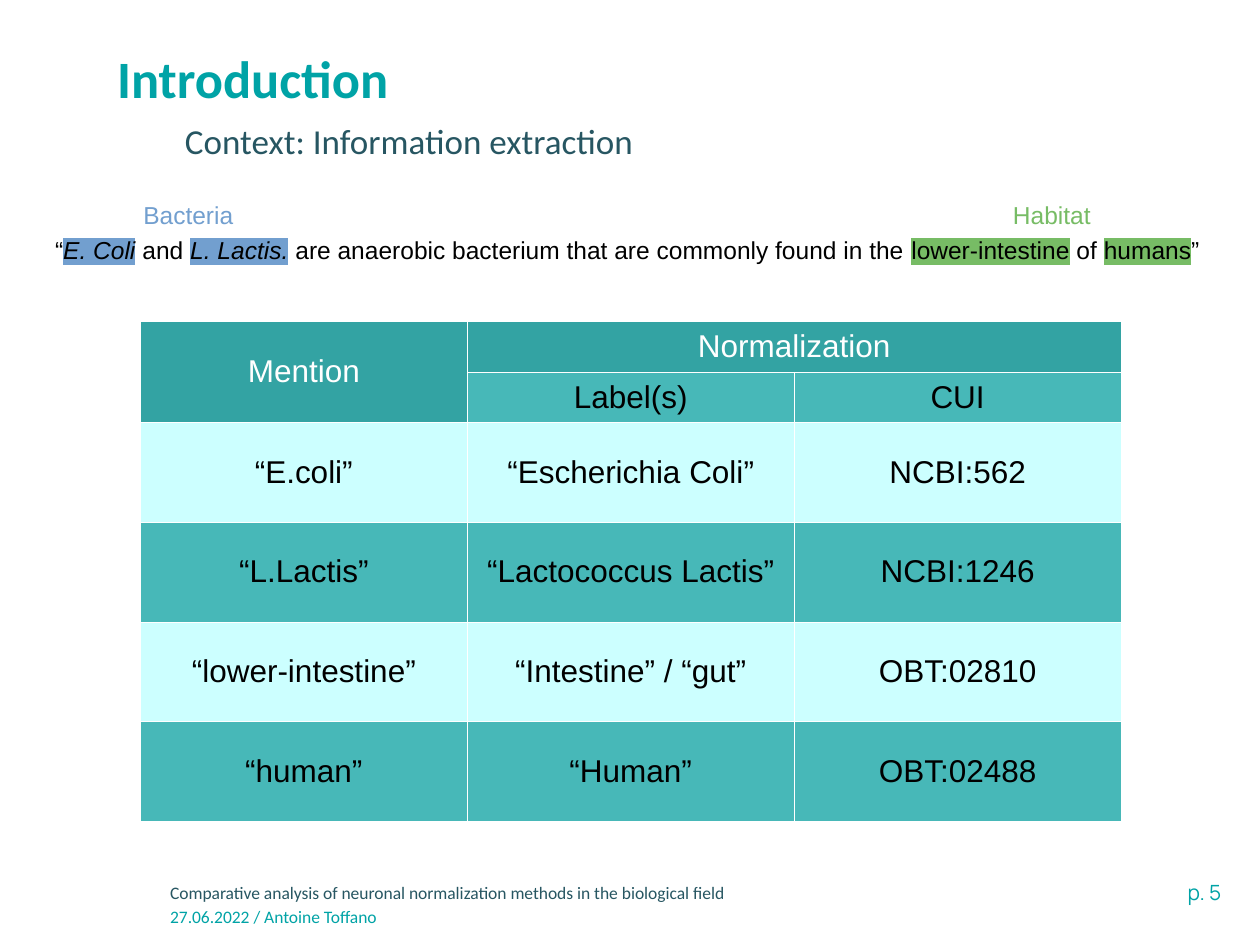
from dataclasses import dataclass

from lxml.etree import SubElement
from pptx import Presentation
from pptx.dml.color import RGBColor
from pptx.enum.text import MSO_ANCHOR, MSO_AUTO_SIZE, PP_ALIGN
from pptx.oxml.ns import qn
from pptx.util import Cm, Pt


@dataclass(frozen=True)
class Theme:
    teal: str = "00A3A6"
    dark: str = "275662"
    black: str = "000000"
    white: str = "FFFFFF"
    bacteria: str = "729FCF"
    habitat: str = "77BC65"
    header: str = "33A3A3"
    band: str = "47B8B8"
    light_band: str = "CCFFFF"
    heading_font: str = "Calibri"
    body_font: str = "Arial"
    page_font: str = "Manrope"
    title_size: int = 30
    subtitle_size: int = 20
    table_size: int = 18
    body_size: int = 14
    page_size: int = 12
    footer_size: int = 10
    border_width: float = 0.06


def add_text(paragraph, text, *, font, size, color, bold=False, italic=False, highlight=None):
    run = paragraph.add_run()
    run.text = text
    run.font.name = font
    run.font.size = Pt(size)
    run.font.bold = bold
    run.font.italic = italic
    run.font.color.rgb = RGBColor.from_string(color)
    if highlight:
        properties = run.font.fill._xPr
        element = SubElement(properties, qn("a:highlight"))
        SubElement(element, qn("a:srgbClr"), val=highlight)
        properties.find(qn("a:solidFill")).addnext(element)


class SlideBuilder:
    def __init__(self, slide, theme):
        self.slide = slide
        self.theme = theme

    def title(self, text, left, top, width, height):
        shape = self.slide.shapes.title
        shape.left, shape.top = Cm(left), Cm(top)
        shape.width, shape.height = Cm(width), Cm(height)
        frame = shape.text_frame
        frame.auto_size = MSO_AUTO_SIZE.NONE
        frame.vertical_anchor = MSO_ANCHOR.MIDDLE
        frame.margin_left = 0
        paragraph = frame.paragraphs[0]
        paragraph.alignment = PP_ALIGN.LEFT
        paragraph.line_spacing = 0.9
        add_text(paragraph, text, font=self.theme.heading_font,
                 size=self.theme.title_size, color=self.theme.teal, bold=True)

    def text_box(self, parts, left, top, width, height, alignment=PP_ALIGN.LEFT, **text_format):
        shape = self.slide.shapes.add_textbox(Cm(left), Cm(top), Cm(width), Cm(height))
        shape.text_frame.word_wrap = True
        paragraph = shape.text_frame.paragraphs[0]
        paragraph.alignment = alignment
        for text, changes in parts:
            add_text(paragraph, text, **{**text_format, **changes})
        return paragraph

    def cell(self, cell, text, fill, color):
        cell.vertical_anchor = MSO_ANCHOR.MIDDLE
        properties = cell._tc.get_or_add_tcPr()
        for side in ("lnL", "lnR", "lnT", "lnB"):
            line = SubElement(properties, qn(f"a:{side}"), w=str(Pt(self.theme.border_width)))
            line_fill = SubElement(line, qn("a:solidFill"))
            SubElement(line_fill, qn("a:srgbClr"), val=self.theme.white)
        cell.fill.solid()
        cell.fill.fore_color.rgb = RGBColor.from_string(fill)
        if text:
            paragraph = cell.text_frame.paragraphs[0]
            paragraph.alignment = PP_ALIGN.CENTER
            add_text(paragraph, text, font=self.theme.body_font,
                     size=self.theme.table_size, color=color)

    def table(self, rows, row_styles, merges, left, top, column_width, row_heights):
        columns = len(rows[0])
        shape = self.slide.shapes.add_table(
            len(rows), columns, Cm(left), Cm(top),
            Cm(column_width * columns), Cm(sum(row_heights)))
        table = shape.table
        for column in table.columns:
            column.width = Cm(column_width)
        for row, height in zip(table.rows, row_heights):
            row.height = Cm(height)
        for row_index, (texts, (fill, color)) in enumerate(zip(rows, row_styles)):
            for column_index, text in enumerate(texts):
                self.cell(table.cell(row_index, column_index), text, fill, color)
        for first, last in merges:
            table.cell(*first).merge(table.cell(*last))


def main():
    theme = Theme()
    presentation = Presentation()
    presentation.slide_width, presentation.slide_height = Cm(25.4), Cm(19.05)
    slide = presentation.slides.add_slide(presentation.slide_layouts[5])
    builder = SlideBuilder(slide, theme)

    builder.title("Introduction", 2.36, 0.41, 21.29, 2.46)
    subtitle = builder.text_box(
        [("Context: Information extraction", {})], 3.48, 2.39, 20.17, 1.88,
        font=theme.heading_font, size=theme.subtitle_size, color=theme.dark)
    subtitle.line_spacing = 0.9
    subtitle.space_before = Pt(10)

    header = (theme.header, theme.white)
    band = (theme.band, theme.black)
    light_band = (theme.light_band, theme.black)
    builder.table(
        rows=[
            ("Mention", "Normalization", ""),
            ("", "Label(s)", "CUI"),
            ("“E.coli”", "“Escherichia Coli”", "NCBI:562"),
            ("“L.Lactis”", "“Lactococcus Lactis”", "NCBI:1246"),
            ("“lower-intestine”", "“Intestine” / “gut”", "OBT:02810"),
            ("“human”", "“Human”", "OBT:02488"),
        ],
        row_styles=[header, band, light_band, band, light_band, band],
        merges=[((0, 0), (1, 0)), ((0, 1), (0, 2))],
        left=2.83, top=6.48, column_width=6.59,
        row_heights=[1.01] * 2 + [2.01] * 4)

    body = {"font": theme.body_font, "size": theme.body_size}
    bacteria = {"italic": True, "highlight": theme.bacteria}
    habitat = {"highlight": theme.habitat}
    builder.text_box([("Habitat", {})], 20.17, 3.91, 3.07, 0.81, color=theme.habitat, **body)
    builder.text_box([("Bacteria", {})], 2.64, 3.91, 6.1, 0.81, color=theme.bacteria, **body)
    builder.text_box(
        [
            ("“", {}),
            ("E. Coli", bacteria),
            (" and ", {}),
            ("L. Lactis.", bacteria),
            (" are anaerobic bacterium that are commonly found in the ", {}),
            ("lower-intestine", habitat),
            (" of ", {}),
            ("humans", habitat),
            ("”", {}),
        ],
        0.86, 4.62, 23.62, 1.37, PP_ALIGN.JUSTIFY, color=theme.black, **body)

    footer = {"font": theme.heading_font, "size": theme.footer_size}
    builder.text_box(
        [("Comparative analysis of neuronal normalization methods in the biological field", {})],
        3.18, 17.65, 19.69, 0.69, color=theme.dark, **footer)
    builder.text_box([("27.06.2022 / Antoine Toffano", {})],
                     3.18, 18.14, 18.64, 0.69, color=theme.teal, **footer)
    builder.text_box([("p. 5", {})], 19.08, 17.6, 5.79, 0.84, PP_ALIGN.RIGHT,
                     font=theme.page_font, size=theme.page_size, color=theme.teal)

    presentation.save("out.pptx")


if __name__ == "__main__":
    main()
